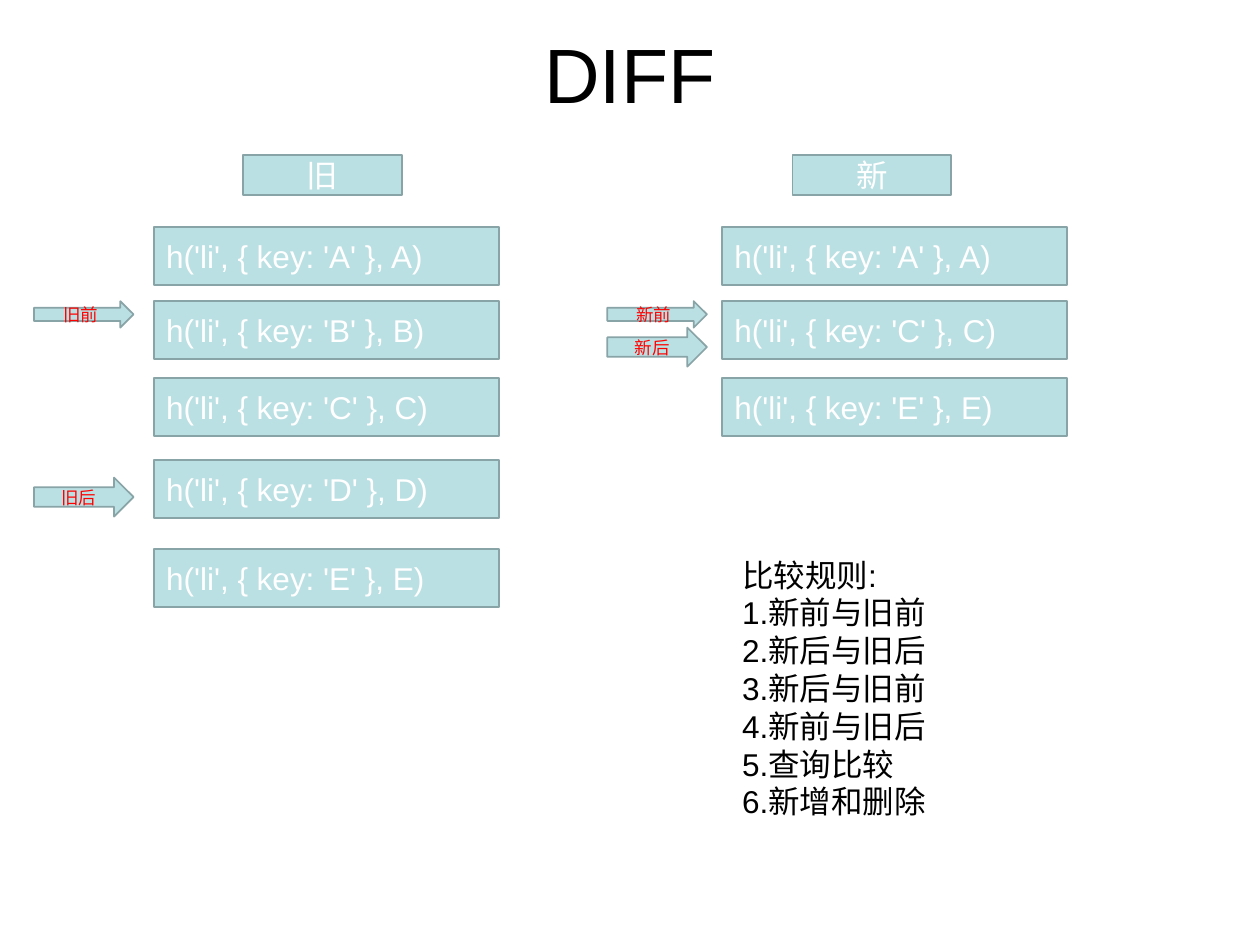
from dataclasses import dataclass

from lxml.etree import SubElement
from pptx import Presentation
from pptx.dml.color import RGBColor
from pptx.enum.shapes import MSO_SHAPE as Kind
from pptx.enum.text import MSO_ANCHOR as Anchor, MSO_AUTO_SIZE as Fit, PP_ALIGN as Align
from pptx.oxml.ns import qn
from pptx.util import Inches, Pt

FILL, EDGE = "BBE0E3", "89A4A7"
BLACK, WHITE, RED = "000000", "FFFFFF", "FF0000"
ROWS = (1.8, 2.39, 3, 3.65, 4.36)
RULES = ("比较规则:", "1.新前与旧前", "2.新后与旧后", "3.新后与旧前",
         "4.新前与旧后", "5.查询比较", "6.新增和删除")


@dataclass
class Arrow:
    text: str
    top: float
    high: float


@dataclass
class Side:
    name: str
    head: float
    left: float
    tip: float
    keys: str
    arrows: tuple


SIDES = (
    Side("旧", 1.93, 1.22, 0.27, "ABCDE",
         (Arrow("旧前", 2.39, 0.21), Arrow("旧后", 3.79, 0.31))),
    Side("新", 6.29, 5.73, 4.82, "ACE",
         (Arrow("新前", 2.39, 0.21), Arrow("新后", 2.6, 0.31))),
)


def color(code: str) -> RGBColor:
    return RGBColor.from_string(code)


def place(shape, left: float, top: float, wide: float, high: float) -> None:
    shape.left, shape.top = Inches(left), Inches(top)
    shape.width, shape.height = Inches(wide), Inches(high)


def style(frame, size: float, code: str, align: Align) -> None:
    for para in frame.paragraphs:
        para.alignment = align
        for run in para.runs:
            run.font.size = Pt(size)
            run.font.name = "Arial"
            run.font.color.rgb = color(code)


def box(slide, kind: Kind, left: float, top: float, wide: float, high: float,
        text: str, size: float = 18, code: str = WHITE,
        align: Align = Align.CENTER) -> None:
    shape = slide.shapes.add_shape(
        kind, Inches(left), Inches(top), Inches(wide), Inches(high))
    shape.shadow.inherit = False
    shape.fill.solid()
    shape.fill.fore_color.rgb = color(FILL)
    shape.line.color.rgb = color(EDGE)
    shape.line.width = Pt(1)
    frame = shape.text_frame
    frame.text = text
    frame.vertical_anchor = Anchor.MIDDLE
    style(frame, size, code, align)


def draw(slide, side: Side) -> None:
    for key, top in zip(side.keys, ROWS):
        box(slide, Kind.FLOWCHART_PROCESS, side.left, top, 2.74, 0.46,
            f"h('li', {{ key: '{key}' }}, {key})", align=Align.LEFT)
    box(slide, Kind.RECTANGLE, side.head, 1.23, 1.26, 0.32, side.name)
    for arrow in side.arrows:
        box(slide, Kind.RIGHT_ARROW, side.tip, arrow.top, 0.79, arrow.high,
            arrow.text, 10, RED)


def rules(body) -> None:
    place(body, 5.79, 4.36, 2.26, 2.2)
    frame = body.text_frame
    frame.text = "\n".join(RULES)
    frame.auto_size = Fit.NONE
    frame.vertical_anchor = Anchor.TOP
    for para in frame.paragraphs:
        para.space_before = Pt(0)
        props = para._p.get_or_add_pPr()
        props.set("marL", "0")
        props.set("indent", "0")
        SubElement(props, qn("a:buNone"))
    style(frame, 18, BLACK, Align.LEFT)


def main() -> None:
    deck = Presentation()
    deck.slide_width, deck.slide_height = Inches(10), Inches(7.5)
    slide = deck.slides.add_slide(deck.slide_layouts[1])
    title = slide.shapes.title
    place(title, 0.5, 0.3, 9, 0.55)
    title.text_frame.text = "DIFF"
    title.text_frame.auto_size = Fit.NONE
    title.text_frame.vertical_anchor = Anchor.MIDDLE
    style(title.text_frame, 44, BLACK, Align.CENTER)
    for side in SIDES:
        draw(slide, side)
    rules(slide.placeholders[1])
    deck.save("out.pptx")


if __name__ == "__main__":
    main()
